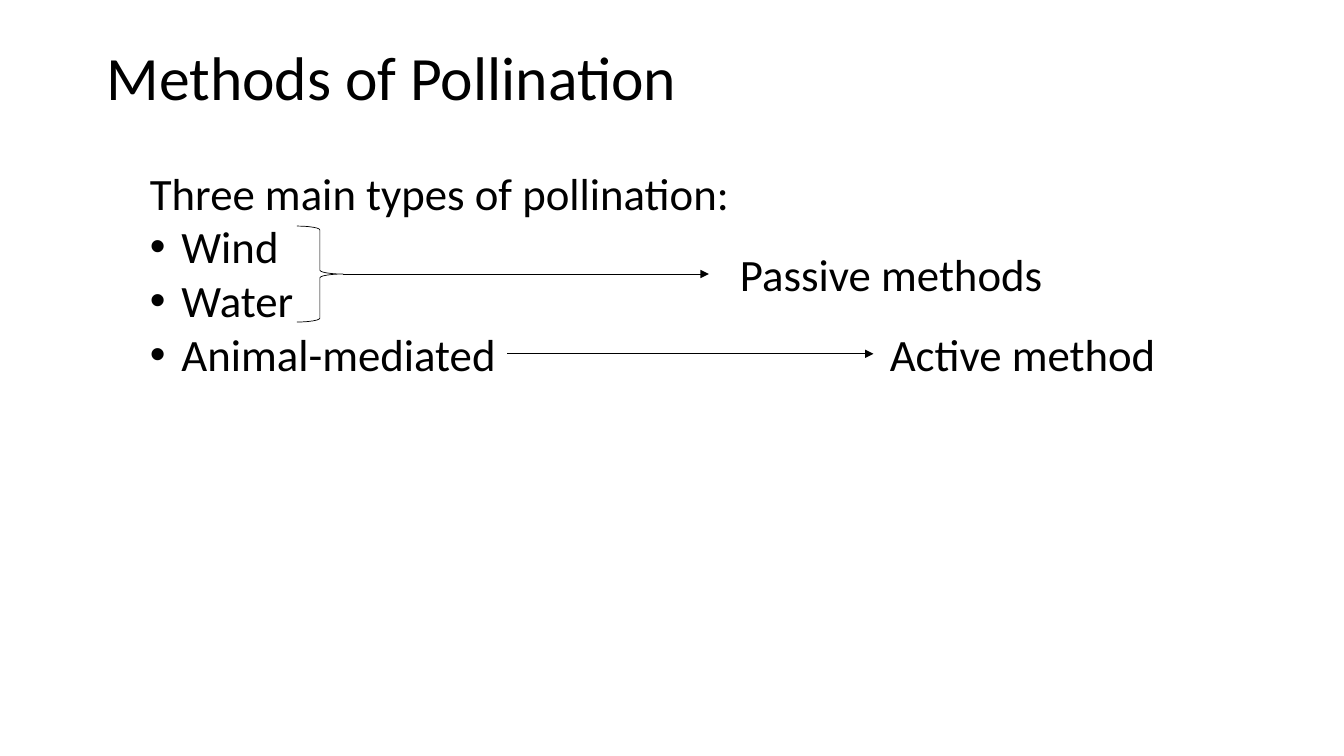
from lxml import etree
from pptx import Presentation
from pptx.dml.color import RGBColor
from pptx.enum.shapes import MSO_CONNECTOR as CONN, MSO_SHAPE as SHAPE
from pptx.enum.text import MSO_ANCHOR as ANCHOR
from pptx.oxml.ns import qn
from pptx.util import Pt

COLORS = {"ink": "000000", "paper": "FFFFFF"}
INK = RGBColor.from_string(COLORS["ink"])
INDENT = 22.5

prs = Presentation()
prs.slide_width, prs.slide_height = Pt(960), Pt(540)
s = prs.slides.add_slide(prs.slide_layouts[6])
s.background.fill.solid()
s.background.fill.fore_color.rgb = RGBColor.from_string(COLORS["paper"])


def add_text(lines, x, y, w, h, size=32, spacing=None, bullets_from=None):
    tf = s.shapes.add_textbox(Pt(x), Pt(y), Pt(w), Pt(h)).text_frame
    tf.word_wrap = True
    tf.vertical_anchor = ANCHOR.TOP
    for i, line in enumerate(lines):
        p = tf.paragraphs[0] if i == 0 else tf.add_paragraph()
        if bullets_from is not None and i >= bullets_from:
            pPr = p._p.get_or_add_pPr()
            pPr.set("marL", str(Pt(INDENT)))
            pPr.set("indent", str(-Pt(INDENT)))
            etree.SubElement(pPr, qn("a:buFont"), typeface="Arial")
            etree.SubElement(pPr, qn("a:buChar"), char="•")
        if spacing:
            p.line_spacing = spacing
        r = p.add_run()
        r.text = line
        r.font.name, r.font.size = "Calibri", Pt(size)
        r.font.color.rgb = INK


# Title and list of pollination types
add_text(["Methods of Pollination"], 69, 30, 828, 104.5, size=44, spacing=0.9)
add_text(["Three main types of pollination:", "Wind", "Water", "Animal-mediated"],
         100, 114.5, 579, 162.5, bullets_from=1)

# Brace joining wind and water
brace = s.shapes.add_shape(SHAPE.RIGHT_BRACE, Pt(212), Pt(161.5), Pt(33), Pt(68.5))
brace.shadow.inherit = False
brace.fill.background()
brace.line.color.rgb = INK
brace.line.width = Pt(0.5)

# Arrows to the kind of method
for x, y in [(244.8, 195.75), (362.4, 252.75)]:
    arrow = s.shapes.add_connector(CONN.STRAIGHT, Pt(x), Pt(y), Pt(x + 261.5), Pt(y))
    arrow.line.color.rgb = INK
    arrow.line.width = Pt(0.5)
    etree.SubElement(arrow.line._get_or_add_ln(), qn("a:tailEnd"), type="triangle")
    etree.SubElement(arrow._element.spPr, qn("a:effectLst"))

# Kinds of method
for label, x, y in [("Passive methods", 521.5, 173), ("Active method", 628.5, 230)]:
    add_text([label], x, y, 296, 46)

prs.save("out.pptx")
